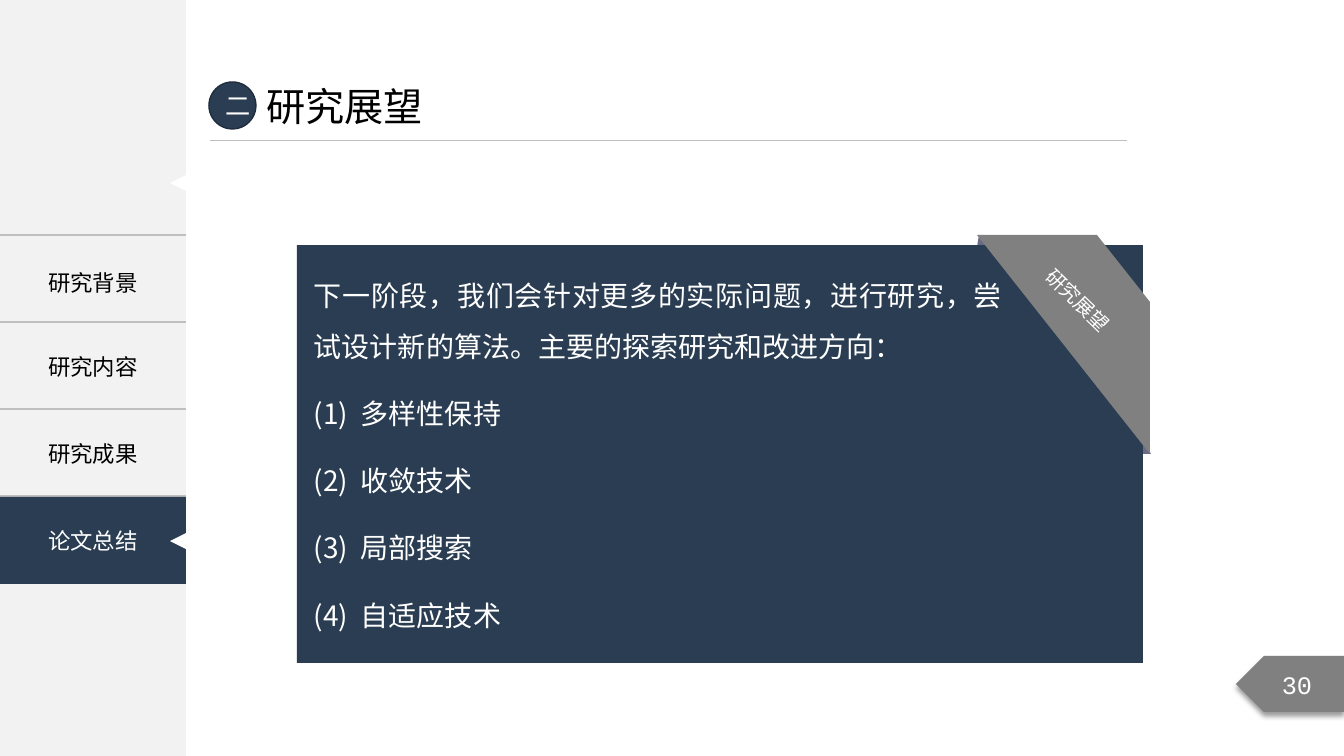
from lxml.etree import SubElement
from pptx import Presentation
from pptx.dml.color import RGBColor
from pptx.enum.shapes import MSO_CONNECTOR, MSO_SHAPE
from pptx.enum.text import MSO_ANCHOR, PP_ALIGN
from pptx.oxml.ns import qn
from pptx.util import Emu, Pt

SCALE = 914400 / 100.8
NAVY = RGBColor(0x2A, 0x3D, 0x52)
RIM = RGBColor(0x1F, 0x2D, 0x3D)
GREY = RGBColor(0x80, 0x80, 0x80)
RULE = RGBColor(0xBF, 0xBF, 0xBF)
PALE = RGBColor(0xF2, 0xF2, 0xF2)
FOLD = RGBColor(0x68, 0x6C, 0x86)
WHITE = RGBColor(0xFF, 0xFF, 0xFF)
BLACK = RGBColor(0, 0, 0)
SANS = "Noto Sans CJK SC"
INTRO = "下一阶段，我们会针对更多的实际问题，进行研究，尝试设计新的算法。主要的探索研究和改进方向："
GOALS = ["多样性保持", "收敛技术", "局部搜索", "自适应技术"]


def px(n):
    return Emu(round(n * SCALE))


def style(para, size, color, face=SANS, align=PP_ALIGN.LEFT):
    para.alignment = align
    for run in para.runs:
        font = run.font
        font.size, font.name, font.color.rgb = Pt(size), face, color
        SubElement(font._element, qn("a:ea"), typeface=face)


def write(frame, text, size, color, face=SANS, align=PP_ALIGN.CENTER):
    frame.text = text
    frame.vertical_anchor = MSO_ANCHOR.MIDDLE
    style(frame.paragraphs[0], size, color, face, align)


def paint(shape, fill):
    shape.shadow.inherit = False
    shape.fill.solid()
    shape.fill.fore_color.rgb = fill
    shape.line.fill.background()
    return shape


def block(slide, kind, box, fill):
    return paint(slide.shapes.add_shape(kind, *map(px, box)), fill)


def patch(slide, points, fill):
    form = slide.shapes.build_freeform(*points[0], scale=SCALE)
    form.add_line_segments(points[1:], close=True)
    paint(form.convert_to_shape(), fill)


def label(slide, box):
    shape = slide.shapes.add_textbox(*map(px, box))
    shape.text_frame.word_wrap = True
    return shape


def notch(slide, x, y):
    block(slide, MSO_SHAPE.ISOSCELES_TRIANGLE, (x - 16, y - 8, 16, 16), WHITE).rotation = 270


def edge(cell):
    """Draw thin rules above and below a table cell."""
    props = cell._tc.get_or_add_tcPr()
    for side in ("L", "R", "T", "B"):
        line = SubElement(props, qn("a:ln" + side), w=str(Pt(1)))
        if side in "LR":
            SubElement(line, qn("a:noFill"))
        else:
            fill = SubElement(line, qn("a:solidFill"))
            SubElement(fill, qn("a:srgbClr"), val=str(RULE))


def sidebar(slide, x, y, w, h):
    block(slide, MSO_SHAPE.RECTANGLE, (x, y, w, h), PALE)
    top, row = y + 235, 87
    grid = slide.shapes.add_table(4, 1, *map(px, (x, top, w, 4 * row))).table
    grid.first_row = grid.horz_banding = False
    for i, text in enumerate(["", "研究内容", "研究成果", ""]):
        cell = grid.cell(i, 0)
        edge(cell)
        cell.fill.background()
        cell.vertical_anchor = MSO_ANCHOR.MIDDLE
        if text:
            write(cell.text_frame, text, 16, BLACK)
    first = label(slide, (x, top + 4, w, row))
    write(first.text_frame, "研究背景", 16, BLACK)
    notch(slide, x + w, y + 183)
    last = block(slide, MSO_SHAPE.RECTANGLE, (x, top + 3 * row + 1, w, row), NAVY)
    write(last.text_frame, "论文总结", 16, WHITE)
    notch(slide, x + w, top + 3 * row + 45)


def header(slide, x, y, w, h):
    rule = slide.shapes.add_connector(
        MSO_CONNECTOR.STRAIGHT, *map(px, (x, y + h, x + w, y + h)))
    rule.line.color.rgb, rule.line.width = RULE, Pt(0.5)
    SubElement(rule._element.spPr, qn("a:effectLst"))
    title = slide.shapes.title
    title.left, title.top, title.width, title.height = map(px, (x + 46, y - 5, 178, 57))
    write(title.text_frame, "研究展望", 28, BLACK, align=PP_ALIGN.LEFT)
    title.text_frame.word_wrap = False
    disc = block(slide, MSO_SHAPE.OVAL, (x - 1, y, 47, 47), NAVY)
    disc.line.color.rgb, disc.line.width = RIM, Pt(1)
    write(disc.text_frame, "二", 18, WHITE, "Roboto")


def ribbon(slide, x, y):
    """Wrap a band over the corner, with its top left at x, y."""
    band = [(0, 0), (173, 219), (173, 67), (120, 0)]
    patch(slide, [(x + a, y + b) for a, b in band], GREY)
    tag = label(slide, (x + 51, y + 48, 100, 34))
    tag.rotation = 44
    write(tag.text_frame, "研究展望", 14, WHITE)
    tag.text_frame.word_wrap = False


def panel(slide, x, y, w, h):
    right = x + w
    patch(slide, [(right + 8, y + 209), (right - 4, y + 209), (right - 4, y + 187)], FOLD)
    patch(slide, [(right - 164, y - 10), (right - 166, y + 2), (right - 152, y + 2)], FOLD)
    block(slide, MSO_SHAPE.RECTANGLE, (x, y, w, h), NAVY)
    ribbon(slide, right - 166, y - 10)
    frame = label(slide, (x + 7, y + 12, 708, h - 14)).text_frame
    intro = frame.paragraphs[0]
    intro.text = INTRO
    intro.line_spacing = Pt(36)
    style(intro, 20, WHITE, align=PP_ALIGN.JUSTIFY)
    for i, goal in enumerate(GOALS, 1):
        para = frame.add_paragraph()
        para.text = f"({i})\t{goal}"
        para.line_spacing = para.space_before = Pt(24)
        tabs = SubElement(para._p.get_or_add_pPr(), qn("a:tabLst"))
        SubElement(tabs, qn("a:tab"), pos=str(px(47)), algn="l")
        style(para, 20, WHITE)


def badge(slide, x, y, w, h):
    tab = block(slide, MSO_SHAPE.PENTAGON, (x, y, w, h), GREY)
    tab._element.spPr.find(qn("a:xfrm")).set("flipH", "1")
    glow = SubElement(tab._element.spPr.find(qn("a:effectLst")), qn("a:outerShdw"),
                      blurRad=str(Pt(4)), dist=str(Pt(3)), dir="5400000", rotWithShape="0")
    tint = SubElement(glow, qn("a:srgbClr"), val=str(BLACK))
    SubElement(tint, qn("a:alpha"), val="40000")
    write(tab.text_frame, "30", 18, WHITE, "Courier New")


def main():
    deck = Presentation()
    deck.slide_width, deck.slide_height = px(1344), px(756)
    slide = deck.slides.add_slide(deck.slide_layouts[5])
    sidebar(slide, 0, 0, 186, 756)
    header(slide, 210, 82, 917, 58)
    panel(slide, 297, 245, 846, 418)
    badge(slide, 1236, 656, 108, 56)
    deck.save("out.pptx")


if __name__ == "__main__":
    main()
